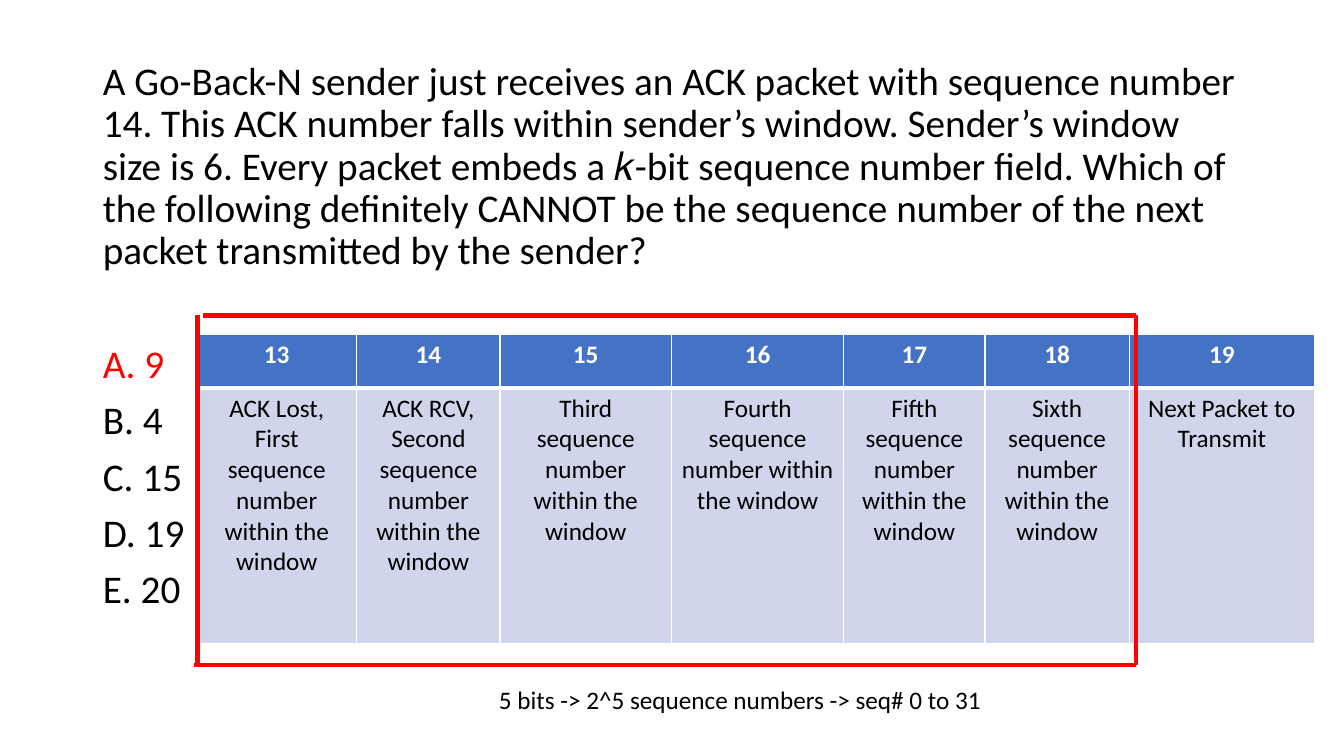
from dataclasses import dataclass
from lxml import etree
from pptx import Presentation
from pptx.dml.color import RGBColor
from pptx.enum.shapes import MSO_CONNECTOR
from pptx.enum.text import MSO_AUTO_SIZE, PP_ALIGN
from pptx.oxml.ns import qn
from pptx.util import Pt

PX = 9144
STRAIGHT = MSO_CONNECTOR.STRAIGHT
CENTER = PP_ALIGN.CENTER
NO_FIT = MSO_AUTO_SIZE.NONE
GROW = MSO_AUTO_SIZE.SHAPE_TO_FIT_TEXT


@dataclass(frozen=True)
class Theme:
    font: str = "Calibri"
    black: str = "000000"
    white: str = "FFFFFF"
    red: str = "FF0000"
    header: str = "4472C4"
    band: str = "CFD5EA"
    large: int = 28
    small: int = 18


THEME = Theme()
QUESTION = (
    "A Go-Back-N sender just receives an ACK packet with sequence number 14. "
    "This ACK number falls within sender’s window. Sender’s window size is 6. "
    "Every packet embeds a 𝑘-bit sequence number field. Which of the following "
    "definitely CANNOT be the sequence number of the next packet transmitted by the sender?"
)
CHOICES = ["A. 9", "B. 4", "C. 15", "D. 19", "E. 20"]
CORRECT = "A. 9"
WITHIN = "sequence number within the window"
PACKETS = [
    ("13", ["ACK Lost,", f"First {WITHIN}"]),
    ("14", ["ACK RCV,", f"Second {WITHIN}"]),
    ("15", [f"Third {WITHIN}"]),
    ("16", [f"Fourth {WITHIN}"]),
    ("17", [f"Fifth {WITHIN}"]),
    ("18", [f"Sixth {WITHIN}"]),
    ("19", ["Next Packet to Transmit"]),
]
COLUMN_WIDTHS = [159, 142, 170, 171, 140, 143, 184]
ROW_HEIGHTS = [53, 254]


def emu(*lengths):
    return [length * PX for length in lengths]


def apply_format(target, values):
    for name, value in values.items():
        setattr(target, name, value)


def write(para, text, size, color, bold=False):
    span = para.add_run()
    span.text = text
    apply_format(span.font, {"name": THEME.font, "size": Pt(size), "bold": bold})
    span.font.color.rgb = RGBColor.from_string(color)


def fill_paragraphs(frame, texts):
    for index, text in enumerate(texts):
        para = frame.paragraphs[0] if index == 0 else frame.add_paragraph()
        yield para, text


def add_question(page, box):
    page.shapes.title.element.getparent().remove(page.shapes.title.element)
    body = page.placeholders[1]
    apply_format(body, dict(zip(("left", "top", "width", "height"), emu(*box))))
    frame = body.text_frame
    apply_format(frame, {"word_wrap": True, "auto_size": NO_FIT})
    gaps = [0, 51] + [10] * (len(CHOICES) - 1)
    lines = fill_paragraphs(frame, [QUESTION, *CHOICES])
    for (para, text), gap in zip(lines, gaps):
        properties = para._p.get_or_add_pPr()
        properties.set("marL", "0")
        properties.set("indent", "0")
        etree.SubElement(properties, qn("a:buNone"))
        apply_format(para, {"line_spacing": 0.9, "space_before": Pt(gap), "space_after": Pt(0)})
        write(para, text, THEME.large, THEME.red if text == CORRECT else THEME.black)


def add_borders(cell, widths):
    properties = cell._tc.get_or_add_tcPr()
    for index, (side, width) in enumerate(widths.items()):
        line = etree.Element(qn(f"a:ln{side}"), w=str(Pt(width)))
        fill = etree.SubElement(line, qn("a:solidFill"))
        etree.SubElement(fill, qn("a:srgbClr"), val=THEME.white)
        properties.insert(index, line)


def fill_cell(cell, texts, fill, color, bold, borders):
    cell.fill.solid()
    cell.fill.fore_color.rgb = RGBColor.from_string(fill)
    add_borders(cell, borders)
    for para, text in fill_paragraphs(cell.text_frame, texts):
        para.alignment = CENTER
        write(para, text, THEME.small, color, bold)


def add_packet_table(page, left, top):
    box = emu(left, top, sum(COLUMN_WIDTHS), sum(ROW_HEIGHTS))
    table = page.shapes.add_table(len(ROW_HEIGHTS), len(PACKETS), *box).table
    for row, height in zip(table.rows, ROW_HEIGHTS):
        row.height = height * PX
    for column, width in zip(table.columns, COLUMN_WIDTHS):
        column.width = width * PX
    for index, (number, description) in enumerate(PACKETS):
        fill_cell(table.cell(0, index), [number], THEME.header, THEME.white, True,
                  {"L": 1, "R": 1, "T": 1, "B": 3})
        fill_cell(table.cell(1, index), description, THEME.band, THEME.black, False,
                  {"L": 1, "R": 1, "T": 3, "B": 1})


def add_note(page, box):
    note = page.shapes.add_textbox(*emu(*box))
    frame = note.text_frame
    apply_format(frame, {"word_wrap": False, "auto_size": GROW})
    write(frame.paragraphs[0], "5 bits -> 2^5 sequence numbers -> seq# 0 to 31",
          THEME.small, THEME.black)


def add_window_outline(page, box):
    left, top, width, height = box
    right, bottom = left + width, top + height
    edges = [
        (right, top, left + 5, top),
        (right, bottom, left - 4, bottom),
        (left, top, left, bottom),
        (right, top, right, bottom),
    ]
    for edge in edges:
        connector = page.shapes.add_connector(STRAIGHT, *emu(*edge))
        connector.line.color.rgb = RGBColor.from_string(THEME.red)
        connector.line.width = Pt(3)
        etree.SubElement(connector._element.spPr, qn("a:effectLst"))


def main():
    deck = Presentation()
    apply_format(deck, dict(zip(("slide_width", "slide_height"), emu(1333, 750))))
    page = deck.slides.add_slide(deck.slide_layouts[1])
    add_question(page, (92, 56, 1150, 606))
    add_packet_table(page, 195, 332)
    add_note(page, (485, 674, 505, 40))
    add_window_outline(page, (196, 313, 931, 347))
    deck.save("out.pptx")


if __name__ == "__main__":
    main()
